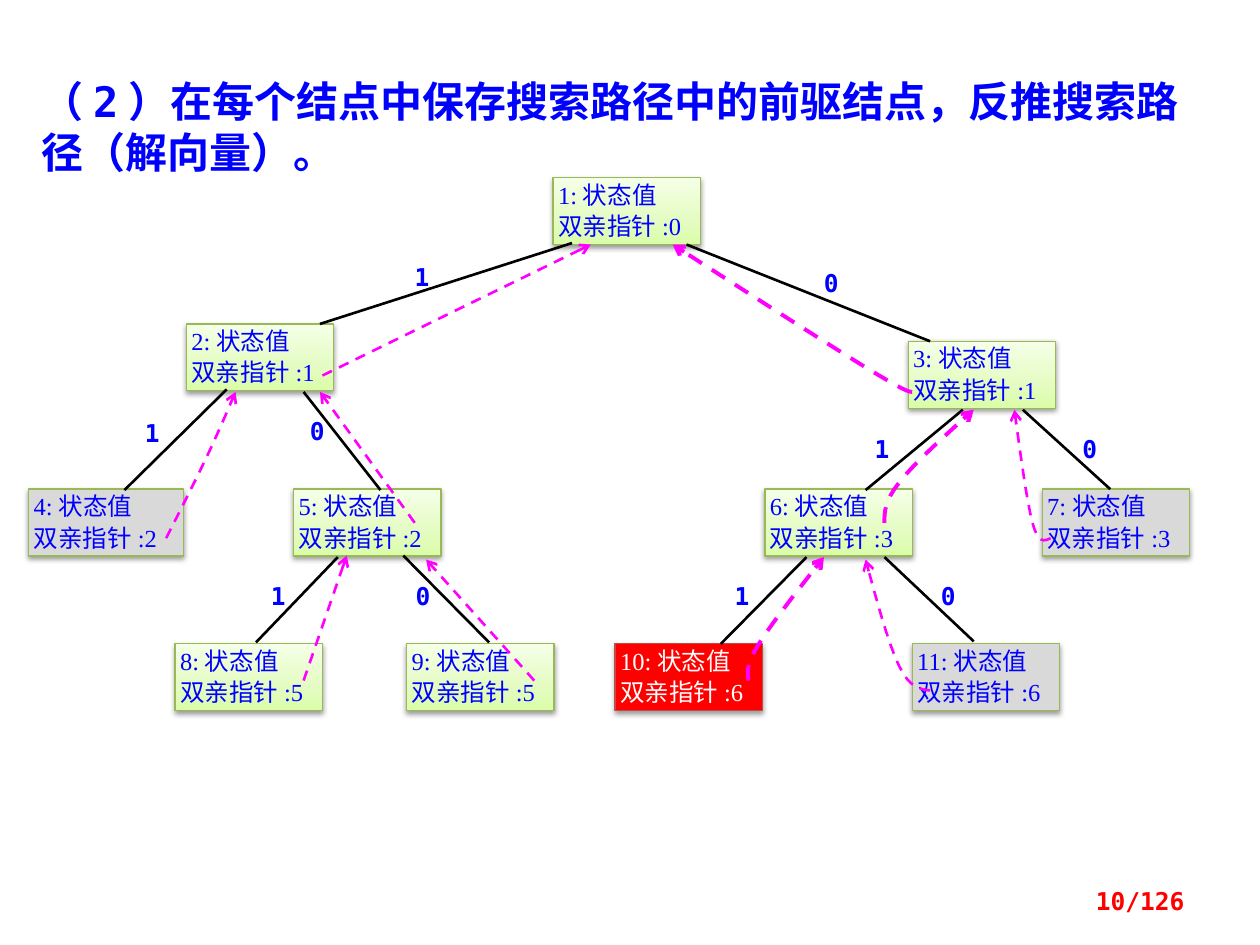
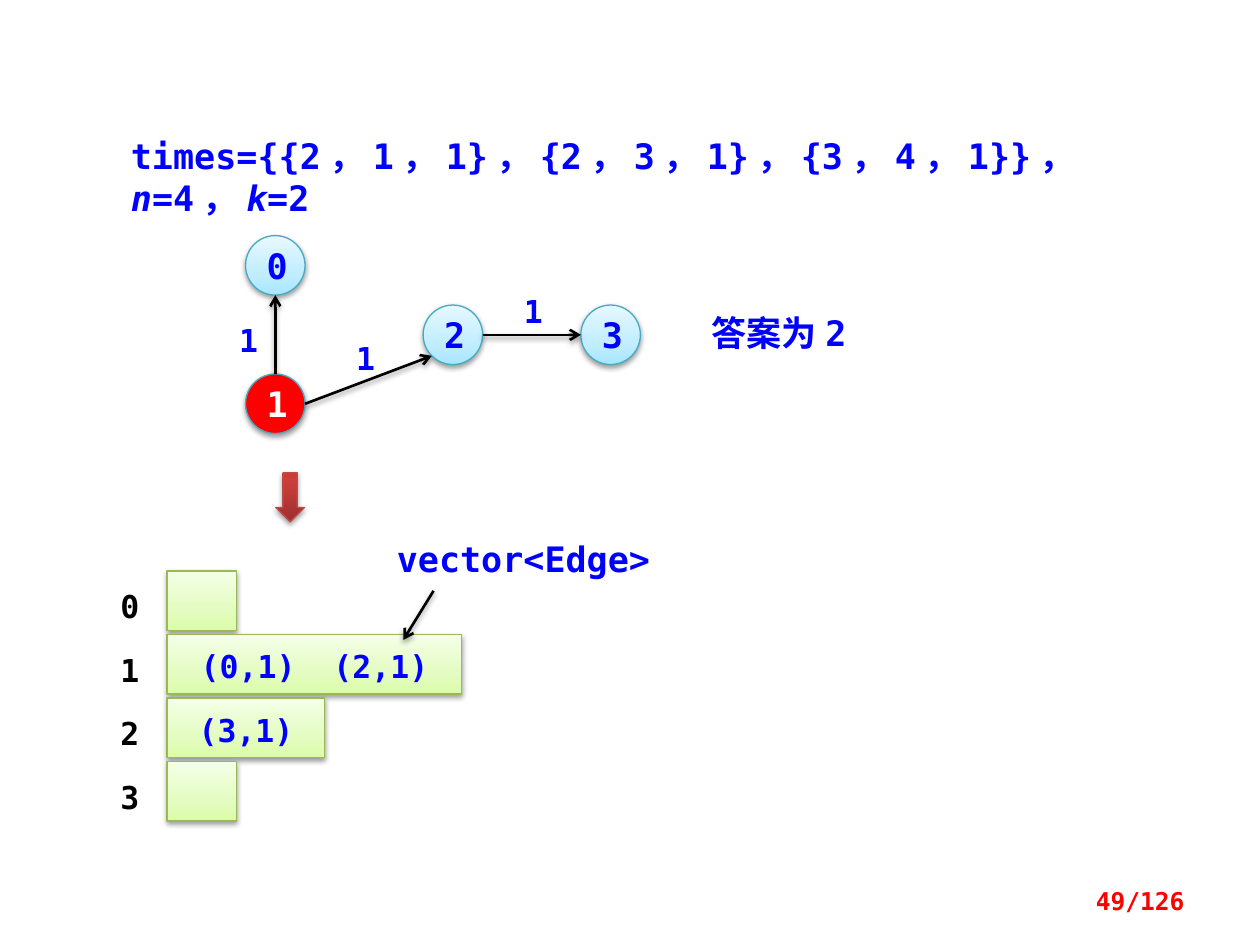
from math import cos, pi, sin
from typing import NamedTuple

from lxml.etree import SubElement
from pptx import Presentation
from pptx.dml.color import RGBColor
from pptx.enum.dml import MSO_LINE
from pptx.enum.shapes import MSO_CONNECTOR, MSO_SHAPE
from pptx.enum.text import MSO_ANCHOR as Anchor, PP_ALIGN as Align
from pptx.oxml.ns import qn
from pptx.util import Cm, Pt

MONO, SERIF = "DejaVu Sans Mono", "Times New Roman"
BLUE = RGBColor(0x00, 0x00, 0xFF)
RED = RGBColor(0xFF, 0x00, 0x00)
WHITE = RGBColor(0xFF, 0xFF, 0xFF)
BLACK = RGBColor(0x00, 0x00, 0x00)
MAGENTA = RGBColor(0xFF, 0x00, 0xFF)
GREY = RGBColor(0xD9, 0xD9, 0xD9)
GREEN_EDGE = RGBColor(0x98, 0xB9, 0x55)
CYAN_EDGE = RGBColor(0x46, 0xAA, 0xC5)
RED_EDGE = RGBColor(0xBF, 0x4C, 0x48)

# Gradient stops run from the bottom of a shape to its top.
GREEN_FADE = [(0, RGBColor(0xDA, 0xFD, 0xA7)), (35, RGBColor(0xE4, 0xFC, 0xC2)),
              (100, RGBColor(0xF5, 0xFF, 0xE7))]
CYAN_FADE = [(0, RGBColor(0xA7, 0xE6, 0xFF)), (35, RGBColor(0xC1, 0xED, 0xFF)),
             (100, RGBColor(0xE7, 0xF8, 0xFF))]
RED_FADE = [(0, RGBColor(0x9C, 0x2F, 0x2D)), (80, RGBColor(0xCB, 0x3E, 0x3A)),
            (100, RGBColor(0xCE, 0x3B, 0x37))]

THIN, THICK = 1.5, 2.25


class Box(NamedTuple):
    """Top left corner of a region, in centimetres."""
    left: float
    top: float

    def at(self, x, y):
        return Cm(self.left + x), Cm(self.top + y)


# Node number: parent, x, y, fill
NODES = {
    1: (0, 10.57, 0, GREEN_FADE),
    2: (1, 3.18, 2.95, GREEN_FADE),
    3: (1, 17.73, 3.3, GREEN_FADE),
    4: (2, 0, 6.28, GREY),
    5: (2, 5.34, 6.28, GREEN_FADE),
    6: (3, 14.84, 6.28, GREEN_FADE),
    7: (3, 20.43, 6.28, GREY),
    8: (5, 2.95, 9.4, GREEN_FADE),
    9: (5, 7.62, 9.4, GREEN_FADE),
    10: (6, 11.82, 9.4, RED),
    11: (6, 17.81, 9.4, GREY),
}
# Branches to nodes 2 to 11: start, end, place of the label
BRANCHES = [
    ((10.95, 1.32), (5.87, 2.95), (7.78, 1.7)),
    ((13.26, 1.35), (18.17, 3.3), (16.03, 1.83)),
    ((3.99, 4.27), (1.93, 6.3), (2.34, 4.85)),
    ((5.54, 4.32), (7.09, 6.3), (5.67, 4.8)),
    ((18.83, 4.68), (16.87, 6.3), (17.05, 5.16)),
    ((20.04, 4.68), (21.8, 6.28), (21.24, 5.16)),
    ((6.23, 7.65), (4.58, 9.37), (4.88, 8.13)),
    ((7.55, 7.62), (9.28, 9.37), (7.8, 8.13)),
    ((15.68, 7.65), (13.95, 9.4), (14.23, 8.13)),
    ((17.25, 7.65), (19.05, 9.35), (18.39, 8.13)),
]
STRAIGHT_POINTERS = [
    ((5.92, 3.99), (11.33, 1.35)),
    ((7.78, 6.96), (5.87, 4.32)),
    ((5.54, 10.14), (6.41, 7.62)),
    ((10.19, 10.14), (8.01, 7.7)),
]
# Line width, then start, two bends, end; the thick ones mark the solution path
CURVED_POINTERS = [
    (THICK, (17.81, 4.32), (17.68, 4.32), (16.06, 3.33), (12.98, 1.35)),
    (THIN, (2.77, 7.27), (3.33, 6.17), (3.79, 5.21), (4.17, 4.32)),
    (THICK, (14.51, 10.14), (14.46, 9.81), (14.99, 8.97), (16.03, 7.65)),
    (THIN, (18.17, 10.34), (17.76, 10.29), (17.33, 9.4), (16.87, 7.7)),
    (THICK, (17.25, 6.96), (17.25, 6.53), (17.84, 5.77), (19.05, 4.68)),
    (THIN, (20.6, 7.27), (20.35, 7.39), (20.12, 6.53), (19.87, 4.68)),
]


def write(shape, paragraphs, size, color=BLUE, font=MONO, bold=True, align=Align.LEFT,
          anchor=Anchor.TOP, spacing=None, insets=None):
    """Fill a shape with paragraphs, each a list of (text, run attributes)."""
    frame = shape.text_frame
    frame.word_wrap = True
    frame.vertical_anchor = anchor
    if insets:
        (frame.margin_left, frame.margin_top,
         frame.margin_right, frame.margin_bottom) = map(Cm, insets)
    for index, runs in enumerate(paragraphs):
        paragraph = frame.add_paragraph() if index else frame.paragraphs[0]
        paragraph.alignment = align
        if spacing:
            paragraph.line_spacing = Pt(spacing)
        for text, extra in runs:
            run = paragraph.add_run()
            run.text = text
            run.font.color.rgb = color
            for key, value in {"name": font, "size": Pt(size), "bold": bold}.items():
                setattr(run.font, key, value)
            for key, value in extra.items():
                run.font._element.set(key, value)


def add_text(shapes, box, x, y, width, height, text, size, **style):
    """Add a text box; text is a string or a list of runs."""
    area = shapes.add_textbox(*box.at(x, y), Cm(width), Cm(height))
    write(area, [[(text, {})] if isinstance(text, str) else text], size, **style)


def cast_shadow(shape):
    properties = shape._element.spPr
    effects = properties.find(qn("a:effectLst"))
    if effects is None:
        effects = SubElement(properties, qn("a:effectLst"))
    shadow = SubElement(effects, qn("a:outerShdw"), blurRad=str(Pt(3.1)), dist=str(Pt(1.6)),
                        dir="5400000", rotWithShape="0")
    tint = SubElement(shadow, qn("a:srgbClr"), val=str(BLACK))
    SubElement(tint, qn("a:alpha"), val="38000")


def paint(shape, fill):
    """Apply a plain colour or a list of gradient stops."""
    if isinstance(fill, RGBColor):
        shape.fill.solid()
        shape.fill.fore_color.rgb = fill
        return
    shape.fill.gradient()
    shape.fill.gradient_angle = 90
    stops = shape._element.spPr.find(".//" + qn("a:gsLst"))
    for stop in list(stops):
        stops.remove(stop)
    for position, color in fill:
        stop = SubElement(stops, qn("a:gs"), pos=str(position * 1000))
        SubElement(stop, qn("a:srgbClr"), val=str(color))


def add_block(shapes, kind, box, x, y, width, height, fill, edge=None):
    """Add a preset shape; one with an edge also casts a shadow."""
    block = shapes.add_shape(kind, *box.at(x, y), Cm(width), Cm(height))
    block.shadow.inherit = False
    paint(block, fill)
    if edge is None:
        block.line.fill.background()
    else:
        block.line.color.rgb = edge
        block.line.width = Pt(0.75)
        cast_shadow(block)
    return block


def style_line(shape, color=BLACK, width=THIN, dashed=False, arrow=False):
    shape.line.color.rgb = color
    shape.line.width = Pt(width)
    if dashed:
        shape.line.dash_style = MSO_LINE.DASH
    if arrow:
        SubElement(shape._element.spPr.find(qn("a:ln")), qn("a:tailEnd"), type="arrow")


def add_line(shapes, box, start, end, shadow=False, **style):
    line = shapes.add_connector(MSO_CONNECTOR.STRAIGHT, *box.at(*start), *box.at(*end))
    style_line(line, **style)
    if shadow:
        cast_shadow(line)
    else:
        SubElement(line._element.spPr, qn("a:effectLst"))
    return line


def midpoint(a, b):
    return (a[0] + b[0]) / 2, (a[1] + b[1]) / 2


def cubic(points, t):
    weights = ((1 - t) ** 3, 3 * t * (1 - t) ** 2, 3 * t * t * (1 - t), t ** 3)
    return tuple(sum(w * p[axis] for w, p in zip(weights, points)) for axis in (0, 1))


def add_curve(shapes, box, start, bend_1, bend_2, end, **style):
    """Draw a smooth open curve that passes midway between its two bends."""
    middle = midpoint(bend_1, bend_2)
    halves = ((start, midpoint(start, bend_1), bend_1, middle),
              (middle, bend_2, midpoint(bend_2, end), end))
    steps = 8
    trail = [box.at(*cubic(half, i / steps)) for half in halves for i in range(1, steps + 1)]
    builder = shapes.build_freeform(*box.at(*start))
    builder.add_line_segments(trail, close=False)
    curve = builder.convert_to_shape()
    curve.shadow.inherit = False
    curve.fill.background()
    style_line(curve, **style)


def add_page_number(slide, number):
    add_text(slide.shapes, Box(18.21, 17.65), 0, 0, 5.92, 1.02, f"{number}/126", 14,
             color=RED, align=Align.RIGHT, anchor=Anchor.MIDDLE)


def add_search_tree(slide, box):
    shapes = slide.shapes
    for index, (_, _, place) in enumerate(BRANCHES):
        label = add_block(shapes, MSO_SHAPE.RECTANGLE, box, *place, 0.48, 0.53, WHITE)
        write(label, [[(str(1 - index % 2), {})]], 14, insets=(0, 0, 0, 0))
    for number, (parent, x, y, fill) in NODES.items():
        on_red = fill == RED
        node = add_block(shapes, MSO_SHAPE.RECTANGLE, box, x, y, 3.12 if number == 4 else 2.97,
                         1.35, fill, RED_EDGE if on_red else GREEN_EDGE)
        write(node, [[(f"{number}:状态值", {})], [(f"双亲指针:{parent}", {})]], 14,
              color=WHITE if on_red else BLUE, font=SERIF, bold=False, spacing=18,
              insets=(0.1, 0, 0, 0))
    for start, end, _ in BRANCHES:
        add_line(shapes, box, start, end)
    pointer = {"color": MAGENTA, "dashed": True, "arrow": True}
    for start, end in STRAIGHT_POINTERS:
        add_line(shapes, box, start, end, **pointer)
    for width, *points in CURVED_POINTERS:
        add_curve(shapes, box, *points, width=width, **pointer)


def add_graph(slide, box):
    shapes, size = slide.shapes, 1.2
    places = [(0, 0), (0, 2.79), (3.58, 1.4), (6.76, 1.4)]
    vertices = []
    for number, place in enumerate(places):
        is_source = number == 1
        vertex = add_block(shapes, MSO_SHAPE.OVAL, box, *place, size, size,
                           RED if is_source else CYAN_FADE, CYAN_EDGE)
        write(vertex, [[(str(number), {})]], 20, color=WHITE if is_source else BLUE,
              align=Align.CENTER, anchor=Anchor.MIDDLE, spacing=24)
        vertices.append(vertex)

    def rim(vertex, site):
        """Connection sites of an oval go anticlockwise from the top in eighths."""
        x, y = places[vertex]
        angle = site * pi / 4
        return x + size / 2 * (1 - sin(angle)), y + size / 2 * (1 - cos(angle))

    # (vertex, site) at both ends, place of the weight
    for start, end, weight in [((1, 0), (0, 4), (-0.38, 1.6)),
                               ((1, 6), (2, 3), (1.98, 1.96)),
                               ((2, 6), (3, 2), (5.36, 1.02))]:
        edge = add_line(shapes, box, rim(*start), rim(*end), shadow=True, arrow=True)
        joints = edge._element.find(".//" + qn("p:cNvCxnSpPr"))
        for tag, (vertex, site) in (("a:stCxn", start), ("a:endCxn", end)):
            SubElement(joints, qn(tag), id=str(vertices[vertex].shape_id), idx=str(site))
        add_text(shapes, box, *weight, 0.99, 1.02, "1", 18)
    add_text(shapes, box, 9.15, 1.4, 3.76, 1.12, "答案为2", 20)


def add_adjacency_list(slide, box):
    shapes = slide.shapes.add_group_shape().shapes
    wide_gap = (" ", {"spc": "1084"})
    rows = [(1.4, []), (5.94, [("(0,1)", {}), wide_gap, ("(2,1)", {})]),
            (3.18, [("(3,1)", {})]), (1.4, [])]
    for number, (width, edges) in enumerate(rows):
        y = 0.79 + 1.28 * number
        row = add_block(shapes, MSO_SHAPE.RECTANGLE, box, 1.19, y, width, 1.2,
                        GREEN_FADE, GREEN_EDGE)
        if edges:
            write(row, [edges], 18, align=Align.CENTER, anchor=Anchor.MIDDLE, spacing=24,
                  insets=(0, 0.13, 0, 0.13))
        add_text(shapes, box, 0, y + 0.2, 0.99, 1.02, str(number), 18, color=BLACK)
    add_text(shapes, box, 5.57, 0, 5.94, 1.12, "vector<Edge>", 20)
    add_line(shapes, box, (6.56, 1.19), (5.95, 2.18), shadow=True, arrow=True)


def build_tree_slide(slide):
    add_text(slide.shapes, Box(0.58, 1.4), 0, 0, 23.62, 2.31,
             "（2）在每个结点中保存搜索路径中的前驱结点，反推搜索路径（解向量）。", 24)
    add_search_tree(slide, Box(0.58, 3.58))
    add_page_number(slide, 10)


def build_graph_slide(slide):
    italic = {"i": "1"}
    add_text(slide.shapes, Box(2.39, 2.59), 0, 0, 20.65, 1.12,
             [("times={{2，1，1}，{2，3，1}，{3，4，1}}，", {}), ("n", italic),
              ("=4，", {}), ("k", italic), ("=2", {})], 20)
    add_graph(slide, Box(4.95, 4.75))
    add_adjacency_list(slide, Box(2.18, 10.72))
    add_block(slide.shapes, MSO_SHAPE.DOWN_ARROW, Box(5.56, 9.53), 0, 0, 0.58, 0.99,
              RED_FADE, RED_EDGE)
    add_page_number(slide, 49)


def main():
    deck = Presentation()
    deck.slide_width, deck.slide_height = Cm(25.4), Cm(19.05)
    for build in (build_tree_slide, build_graph_slide):
        build(deck.slides.add_slide(deck.slide_layouts[6]))
    deck.save("out.pptx")


if __name__ == "__main__":
    main()
